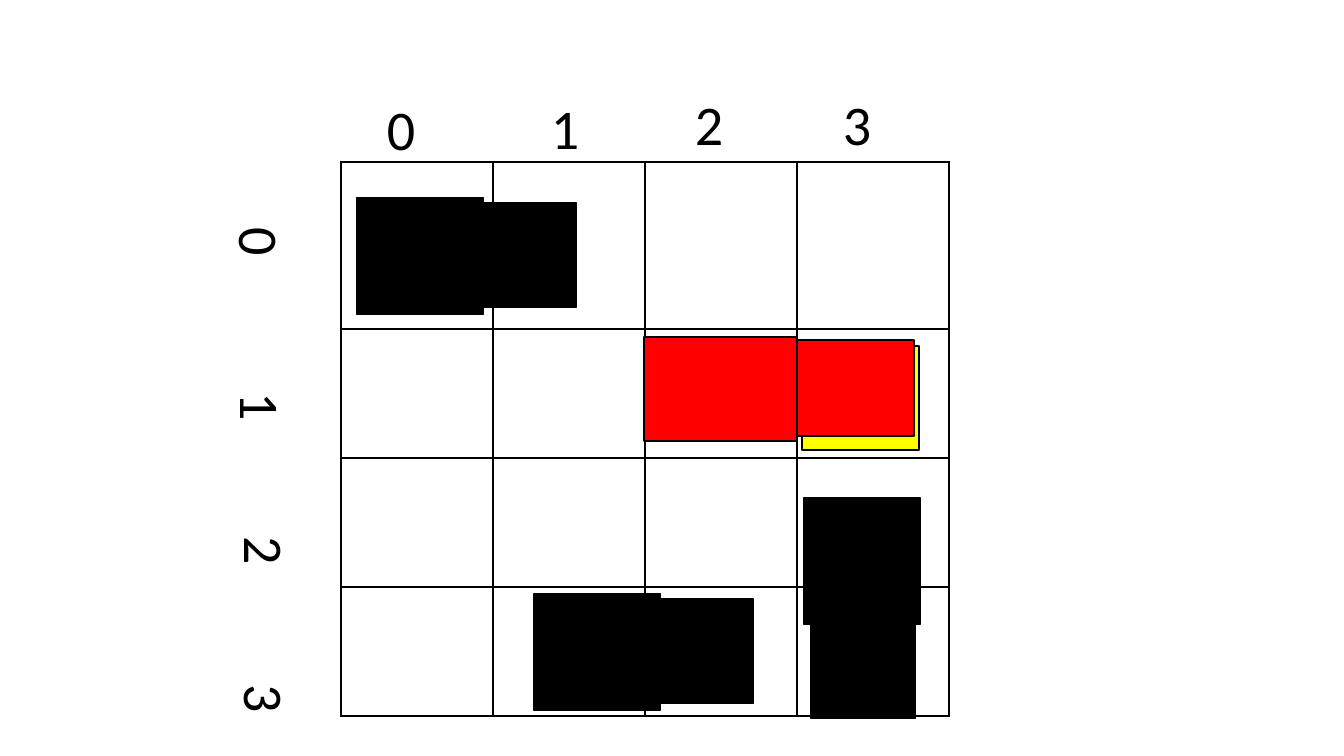
import pptx
import pptx.dml.color
import pptx.enum.shapes
import pptx.enum.text
import pptx.oxml
import pptx.oxml.ns
import pptx.util

SCALE = pptx.util.Inches(1) / 100.8
BLACK = pptx.dml.color.RGBColor(0x00, 0x00, 0x00)
RED = pptx.dml.color.RGBColor(0xFF, 0x00, 0x00)
YELLOW = pptx.dml.color.RGBColor(0xFF, 0xFF, 0x00)


def emu(pixels):
    """Convert pixels to EMU."""
    return pptx.util.Emu(round(pixels * SCALE))


def add_block(left, top, width, height, color, rotation=0):
    """Add a filled rectangle with a thin black outline."""
    shape = slide.shapes.add_shape(
        pptx.enum.shapes.MSO_SHAPE.RECTANGLE,
        emu(left), emu(top), emu(width), emu(height))
    shape.fill.solid()
    shape.fill.fore_color.rgb = color
    shape.line.color.rgb = BLACK
    shape.line.width = pptx.util.Pt(1)
    shape.shadow.inherit = False
    shape.rotation = rotation


presentation = pptx.Presentation()
presentation.slide_width = emu(1344)
presentation.slide_height = emu(756)
slide = presentation.slides.add_slide(presentation.slide_layouts[6])

# Board grid
row_heights = [167, 129, 129, 129]
board = slide.shapes.add_table(
    4, 4, emu(341), emu(162), emu(4 * 152), emu(sum(row_heights))).table
board.first_row = False
board.horz_banding = False
for column in board.columns:
    column.width = emu(152)
for row, height in zip(board.rows, row_heights):
    row.height = emu(height)
for cell in board.iter_cells():
    properties = cell._tc.get_or_add_tcPr()
    for side in ("lnL", "lnR", "lnT", "lnB"):
        properties.append(pptx.oxml.parse_xml(
            f'<a:{side} {pptx.oxml.ns.nsdecls("a")} w="12700"><a:solidFill>'
            f'<a:srgbClr val="{BLACK}"/></a:solidFill></a:{side}>'))
    cell.fill.background()

# Red ship with the yellow block behind it
add_block(802, 346, 117, 104, YELLOW)
add_block(644, 337, 153, 104, RED)
add_block(797, 340, 117, 96, RED)

# Black ships: centre of the large part, offset to the small part, rotation
ships = [
    (420, 256, 109, -1, 270),
    (597, 652, 109, -1, 270),
    (862, 561, 1, 110, 0),
]
for center_x, center_y, offset_x, offset_y, rotation in ships:
    small_x, small_y = center_x + offset_x, center_y + offset_y
    for x, y, width, height in ((small_x, small_y, 105, 94),
                                (center_x, center_y, 117, 126)):
        add_block(x - width / 2, y - height / 2, width, height, BLACK, rotation)

# Column and row numbers, placed by their centres
column_centers = [(401, 129), (565, 128), (709, 124), (857, 124)]
row_centers = [(261, 242), (262, 407), (266, 551), (266, 699)]
font_format = {"name": "Calibri", "size": pptx.util.Pt(40)}
for rotation, centers in ((0, column_centers), (90, row_centers)):
    for number, (x, y) in enumerate(centers):
        label = slide.shapes.add_textbox(
            emu(x - 105), emu(y - 39), emu(210), emu(78))
        label.rotation = rotation
        label.text_frame.word_wrap = True
        label.text_frame.auto_size = pptx.enum.text.MSO_AUTO_SIZE.SHAPE_TO_FIT_TEXT
        paragraph = label.text_frame.paragraphs[0]
        paragraph.alignment = pptx.enum.text.PP_ALIGN.CENTER
        run = paragraph.add_run()
        run.text = str(number)
        for name, value in font_format.items():
            setattr(run.font, name, value)
        run.font.color.rgb = BLACK

presentation.save("out.pptx")
